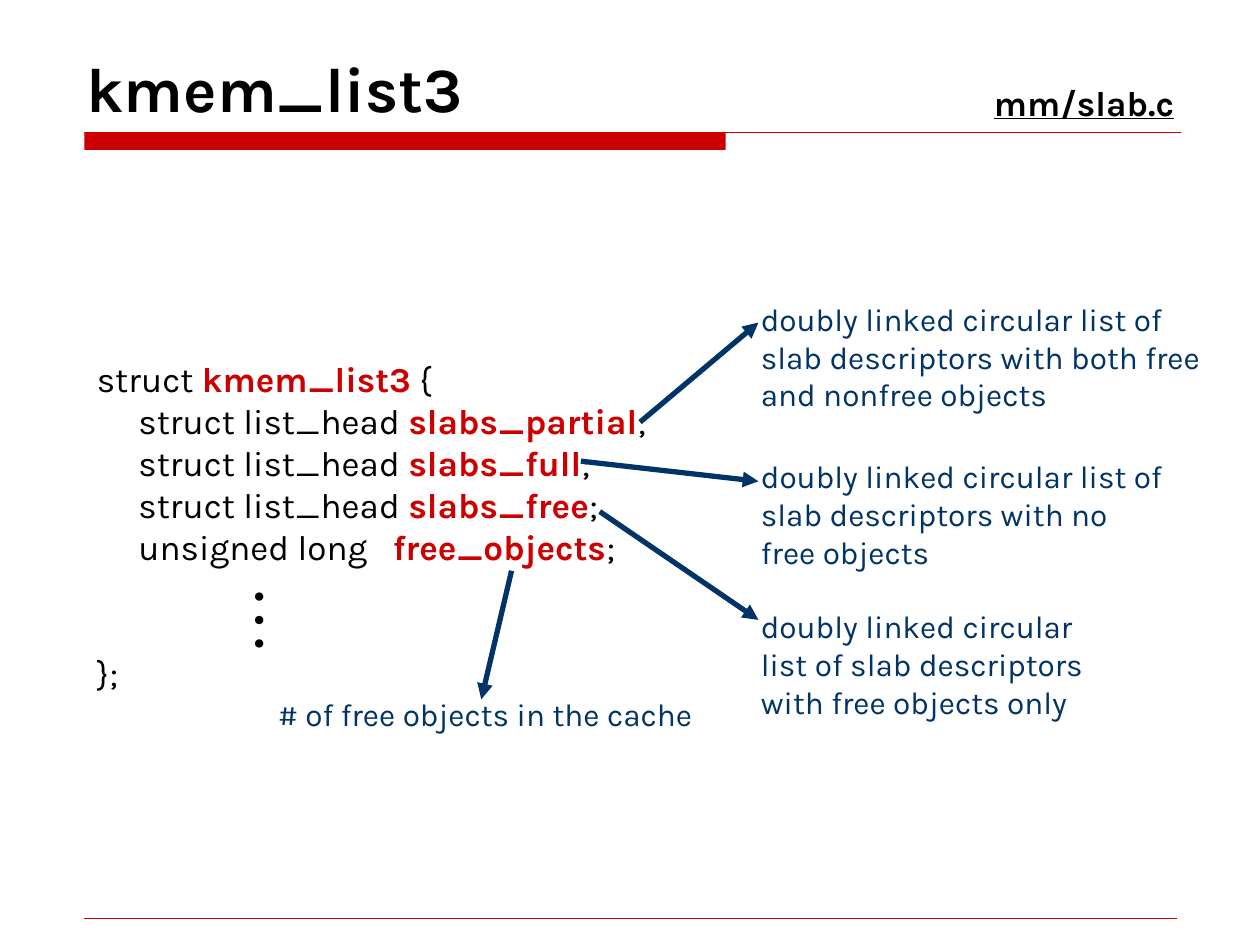
"""Build the kmem_list3 slide: a C struct with arrows to notes on its fields."""
from lxml import etree
from pptx import Presentation
from pptx import util as u
from pptx.dml.color import RGBColor
from pptx.enum import shapes, text
from pptx.oxml.ns import qn

COLORS = {"ink": "000000", "accent": "CC0000", "note": "003366"}
TOP, MIDDLE, BOTTOM = text.MSO_ANCHOR.TOP, text.MSO_ANCHOR.MIDDLE, text.MSO_ANCHOR.BOTTOM
MARGIN = 0.67
NOTE_LEFT, NOTE_HEIGHT, ARROW_END = 5.94, 1, 6.02

CODE = [
    ("struct ", "kmem_list3", " {"),
    ("     struct list_head ", "slabs_partial", ";"),
    ("     struct list_head ", "slabs_full", ";"),
    ("     struct list_head ", "slabs_free", ";"),
    ("     unsigned long   ", "free_objects", ";"),
    ("};",),
]
CLOSING_GAP = 48
NOTES = [
    ("doubly linked circular list of slab descriptors with both free and nonfree objects", 2.33, 3.7),
    ("doubly linked circular list of slab descriptors with no free objects", 3.58, 3.39),
    ("doubly linked circular list of slab descriptors with free objects only", 4.77, 2.84),
]
ARROWS = [
    (5.08, 3.35, ARROW_END, 2.56),
    (4.61, 3.66, ARROW_END, 3.82),
    (4.76, 4.06, ARROW_END, 4.92),
    (4.06, 4.53, 3.82, 5.55),
]
RULES = [(MARGIN, 1.05, 9.37, 1.05, 0.75), (MARGIN, 7.29, 9.34, 7.29, 0.25)]


def color(name):
    return RGBColor.from_string(COLORS[name])


def add_box(page, place, anchor=TOP, wrap=True):
    box = page.shapes.add_textbox(*map(u.Inches, place))
    box.text_frame.word_wrap = wrap
    box.text_frame.vertical_anchor = anchor
    return box


def add_span(para, words, tint="ink", **formats):
    span = para.add_run()
    span.text = words
    for name, value in {"name": "Karla", "size": u.Pt(20), **formats}.items():
        setattr(span.font, name, value)
    span.font.color.rgb = color(tint)


def add_label(page, words, place, anchor=TOP, wrap=True, **formats):
    box = add_box(page, place, anchor, wrap)
    add_span(box.text_frame.paragraphs[0], words, **formats)
    return box


def add_line(page, ends, tint, width, arrow=False):
    line = page.shapes.add_connector(shapes.MSO_CONNECTOR.STRAIGHT, *map(u.Inches, ends))
    line.line.color.rgb = color(tint)
    line.line.width = u.Pt(width)
    if arrow:
        etree.SubElement(line.line._get_or_add_ln(), qn("a:tailEnd"), type="triangle")
    etree.SubElement(line._element.spPr, qn("a:effectLst"))


def add_header(page):
    bar = page.shapes.add_shape(
        shapes.MSO_SHAPE.RECTANGLE, *map(u.Inches, (MARGIN, 1.05, 5.09, 0.14)))
    bar.shadow.inherit = False
    bar.fill.solid()
    bar.fill.fore_color.rgb = color("accent")
    bar.line.fill.background()
    for *ends, width in RULES:
        add_line(page, ends, "accent", width)
    add_label(page, "kmem_list3", (0.59, 0.21, 8.75, 0.83), BOTTOM, size=u.Pt(36), bold=True)
    add_label(page, "mm/slab.c", (7.79, 0.6, 1.63, 0.44), wrap=False, bold=True, underline=True)


def add_code(page):
    frame = add_box(page, (MARGIN, 2.79, 4.65, 2.77)).text_frame
    for row, parts in enumerate(CODE):
        para = frame.add_paragraph() if row else frame.paragraphs[0]
        for index, words in enumerate(parts):
            is_name = index == 1
            add_span(para, words, "accent" if is_name else "ink", bold=is_name)
    para.space_before = u.Pt(CLOSING_GAP)
    dots = add_label(page, "…", (1.78, 4.55, 0.86, 0.93), name="Times New Roman", size=u.Pt(40))
    frame = dots.text_frame
    frame._txBody.bodyPr.set("vert", "eaVert")
    for side, inset in {"left": 0.05, "right": 0.05, "top": 0.1, "bottom": 0.1}.items():
        setattr(frame, f"margin_{side}", u.Inches(inset))


def add_notes(page):
    formats = {"tint": "note", "size": u.Pt(18)}
    for words, top, width in NOTES:
        add_label(page, words, (NOTE_LEFT, top, width, NOTE_HEIGHT), MIDDLE, **formats)
    add_label(page, "# of free objects in the cache", (2.11, 5.47, 3.58, 0.4),
              MIDDLE, wrap=False, **formats)
    for ends in ARROWS:
        add_line(page, ends, "note", 3, arrow=True)


def main():
    deck = Presentation()
    deck.slide_width, deck.slide_height = u.Inches(10), u.Inches(7.5)
    page = deck.slides.add_slide(deck.slide_layouts[6])
    add_header(page)
    add_code(page)
    add_notes(page)
    deck.save("out.pptx")


if __name__ == "__main__":
    main()
